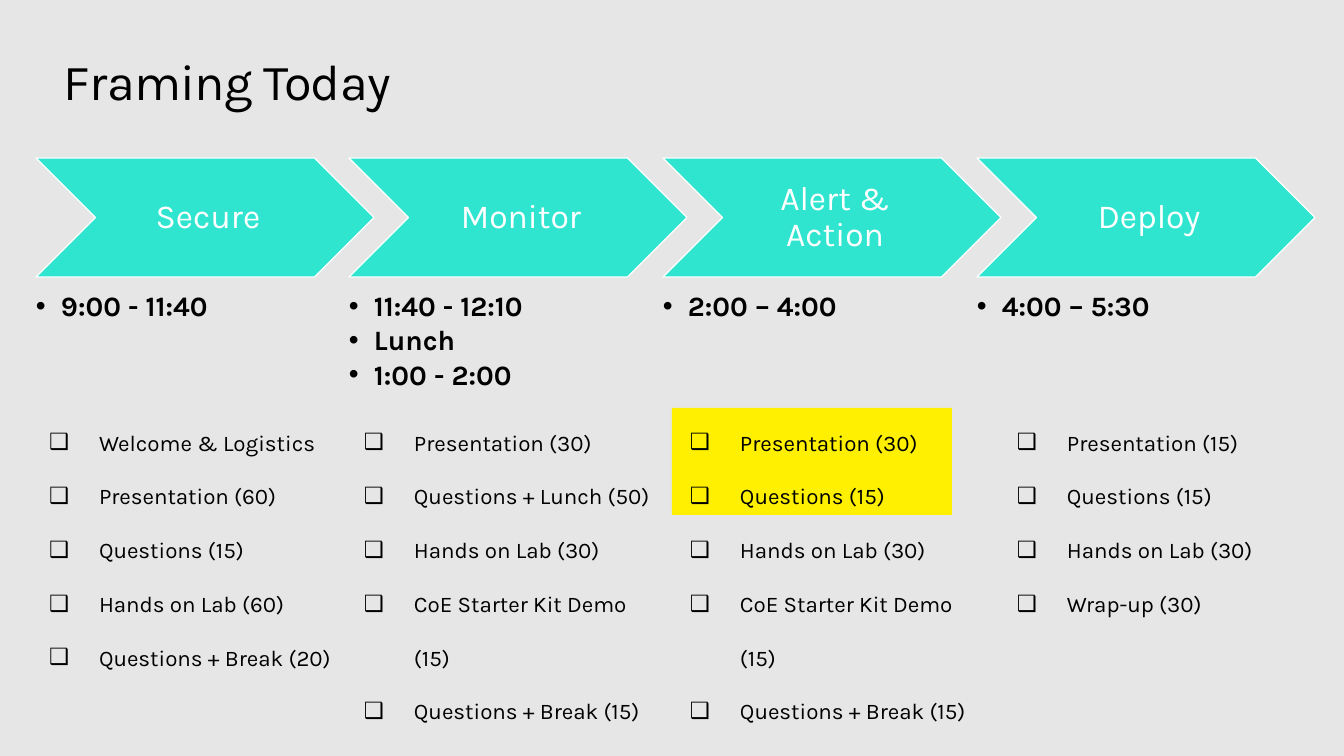
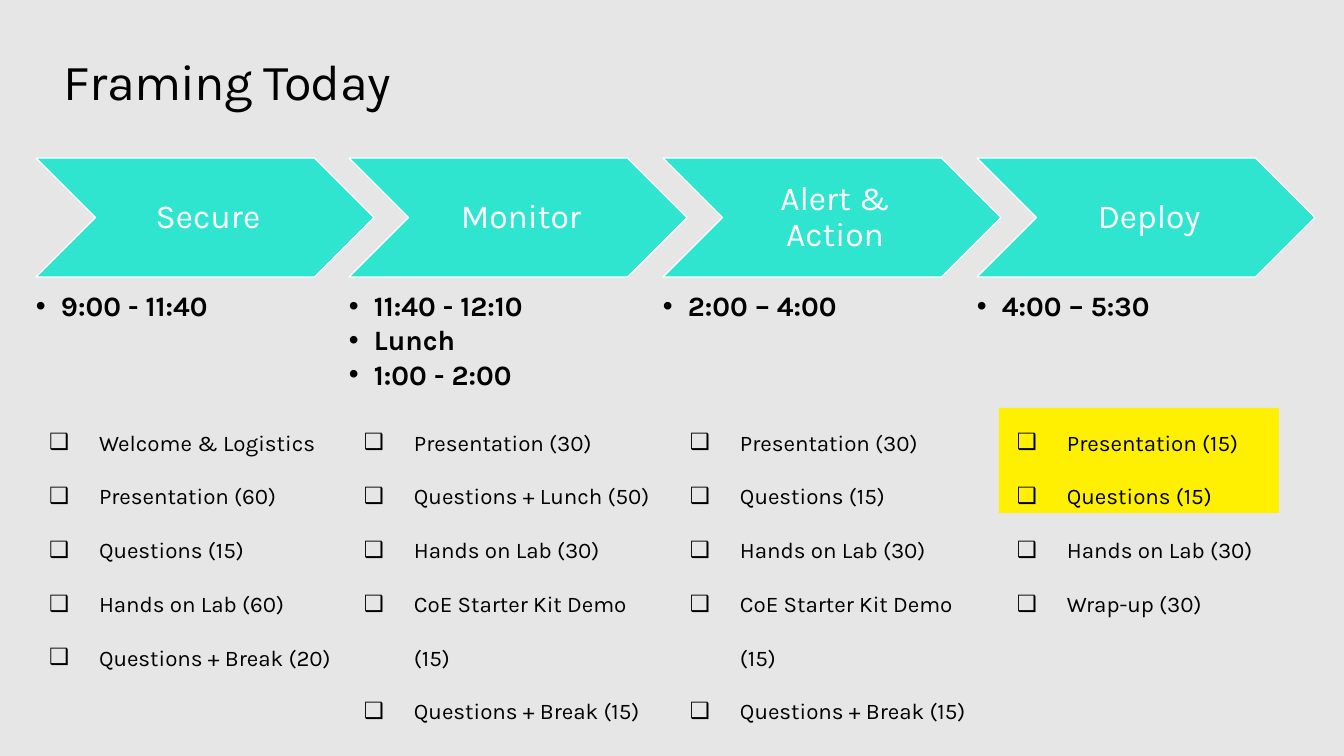
from dataclasses import dataclass
from typing import Any, Optional

from lxml import etree
from pptx import Presentation
from pptx.dml.color import RGBColor
from pptx.enum.shapes import MSO_SHAPE
from pptx.enum.text import MSO_ANCHOR, MSO_AUTO_SIZE, PP_ALIGN
from pptx.oxml.ns import qn
from pptx.util import Emu, Pt

CHEVRON, RECT = MSO_SHAPE.CHEVRON, MSO_SHAPE.RECTANGLE
TOP, MIDDLE = MSO_ANCHOR.TOP, MSO_ANCHOR.MIDDLE
LEFT, CENTER = PP_ALIGN.LEFT, PP_ALIGN.CENTER
GROW, FIXED = MSO_AUTO_SIZE.SHAPE_TO_FIT_TEXT, MSO_AUTO_SIZE.NONE
SCALE = 914400 / 100.8


def px(n: int) -> Emu:
    return Emu(round(n * SCALE))


@dataclass(frozen=True)
class Theme:
    font: str = "Karla"
    back: str = "E6E6E6"
    ink: str = "000000"
    white: str = "FFFFFF"
    teal: str = "30E5D0"
    mark: str = "FEF000"
    title: int = 36
    stage: int = 24
    time: int = 20
    item: int = 16


@dataclass(frozen=True)
class Box:
    x: int
    y: int
    w: int
    h: int


@dataclass(frozen=True)
class Bullet:
    char: str
    indent: int


@dataclass(frozen=True)
class Stage:
    name: str
    times: list[str]
    items: list[str]
    x: int
    w: int


THEME = Theme()
DOT = Bullet("•", 25)
CHECK = Bullet("❑", 50)
FIRST, SPAN = 36, 941

STAGES = [
    Stage("Secure", ["9:00 - 11:40"],
          ["Welcome & Logistics", "Presentation (60)", "Questions (15)",
           "Hands on Lab (60)", "Questions + Break (20)"], 49, 291),
    Stage("Monitor", ["11:40 - 12:10", "Lunch", "1:00 - 2:00"],
          ["Presentation (30)", "Questions + Lunch (50)", "Hands on Lab (30)",
           "CoE Starter Kit Demo (15)", "Questions + Break (15)"], 364, 303),
    Stage("Alert & Action", ["2:00 – 4:00"],
          ["Presentation (30)", "Questions (15)", "Hands on Lab (30)",
           "CoE Starter Kit Demo (15)", "Questions + Break (15)"], 690, 303),
    Stage("Deploy", ["4:00 – 5:30"],
          ["Presentation (15)", "Questions (15)", "Hands on Lab (30)",
           "Wrap-up (30)"], 1017, 262),
]


def add_bullet(para: Any, bullet: Bullet) -> None:
    props = para._p.get_or_add_pPr()
    props.set("marL", str(px(bullet.indent)))
    props.set("indent", str(-px(bullet.indent)))
    etree.SubElement(props, qn("a:buFont")).set("typeface", "Arial")
    etree.SubElement(props, qn("a:buChar")).set("char", bullet.char)


def write(shape: Any, lines: list[str], *, size: int, color: str = THEME.ink,
          bold: bool = False, align: Any = LEFT, anchor: Any = TOP,
          fit: Any = FIXED, inset: tuple[int, int, int, int] = (0, 0, 0, 0),
          line: float = 1.0, after: int = 0, track: int = 0,
          bullet: Optional[Bullet] = None) -> None:
    """Fill a shape with paragraphs; track is in hundredths of a point."""
    frame = shape.text_frame
    frame.word_wrap = True
    frame.auto_size = fit
    frame.vertical_anchor = anchor
    (frame.margin_left, frame.margin_top,
     frame.margin_right, frame.margin_bottom) = map(px, inset)
    for i, text in enumerate(lines):
        para = frame.add_paragraph() if i else frame.paragraphs[0]
        para.alignment = align
        para.line_spacing = line
        para.space_after = Pt(after)
        if bullet:
            add_bullet(para, bullet)
        run = para.add_run()
        run.text = text
        run.font.name = THEME.font
        run.font.size = Pt(size)
        run.font.bold = bold
        run.font.color.rgb = RGBColor.from_string(color)
        if track:
            run.font._element.set("spc", str(track))


def add_text(slide: Any, box: Box, lines: list[str], **style: Any) -> None:
    shape = slide.shapes.add_textbox(px(box.x), px(box.y), px(box.w), px(box.h))
    write(shape, lines, **style)


def add_shape(slide: Any, kind: Any, box: Box, fill: str,
              edge: Optional[str] = None) -> Any:
    shape = slide.shapes.add_shape(kind, px(box.x), px(box.y), px(box.w), px(box.h))
    shape.shadow.inherit = False
    shape.fill.solid()
    shape.fill.fore_color.rgb = RGBColor.from_string(fill)
    if edge:
        shape.line.color.rgb = RGBColor.from_string(edge)
        shape.line.width = Pt(0.85)
    else:
        shape.line.fill.background()
    return shape


def add_stage(slide: Any, stage: Stage, x: int) -> None:
    arrow = add_shape(slide, CHEVRON, Box(x, 158, 338, 119), THEME.teal, THEME.white)
    write(arrow, [stage.name], size=THEME.stage, color=THEME.white, align=CENTER,
          anchor=MIDDLE, inset=(10, 4, 4, 4), line=0.9)
    add_text(slide, Box(x, 292, 270, 114), stage.times, size=THEME.time,
             bold=True, line=0.9, after=3, bullet=DOT)
    tall = 54 * len(stage.items) - 7
    add_text(slide, Box(stage.x, 402, stage.w, tall), stage.items,
             size=THEME.item, fit=GROW, line=2.0, bullet=CHECK)


def add_agenda(deck: Any, active: int, tall: int) -> None:
    """Add the agenda with the opening items of the active stage marked."""
    slide = deck.slides.add_slide(deck.slide_layouts[6])
    slide.background.fill.solid()
    slide.background.fill.fore_color.rgb = RGBColor.from_string(THEME.back)
    add_shape(slide, RECT, Box(STAGES[active].x - 18, 408, 280, tall), THEME.mark)
    add_text(slide, Box(64, 50, 1215, 61), ["Framing Today"],
             size=THEME.title, fit=GROW, track=-50)
    for i, stage in enumerate(STAGES):
        add_stage(slide, stage, FIRST + SPAN * i // (len(STAGES) - 1))


def main() -> None:
    deck = Presentation()
    deck.slide_width, deck.slide_height = px(1344), px(756)
    for active, tall in ((2, 107), (3, 105)):
        add_agenda(deck, active, tall)
    deck.save("out.pptx")


if __name__ == "__main__":
    main()
